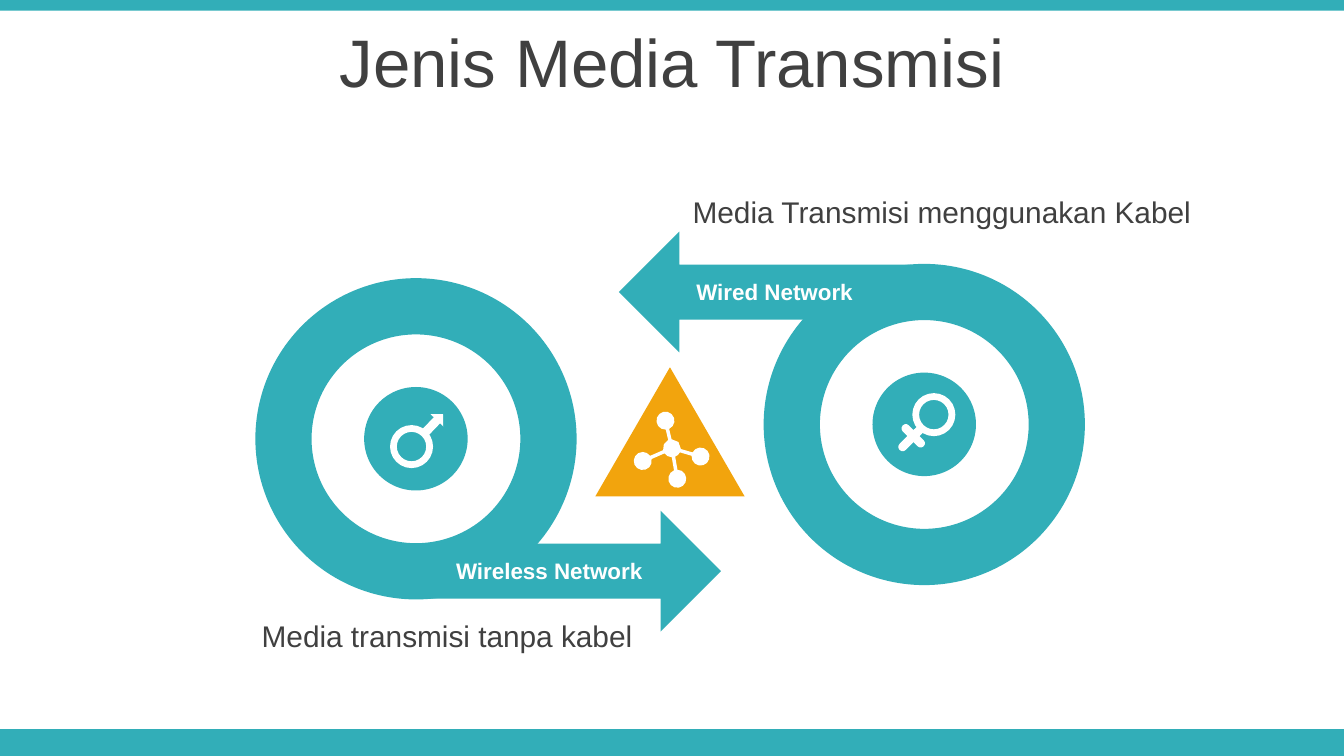
from dataclasses import dataclass
from math import asin, atan2, cos, pi, sin

from pptx import Presentation
from pptx.dml.color import RGBColor
from pptx.enum.shapes import MSO_SHAPE as Kind
from pptx.enum.text import MSO_ANCHOR as Anchor, MSO_AUTO_SIZE as Fit, PP_ALIGN as Align
from pptx.util import Inches, Pt

TEAL = RGBColor(0x32, 0xAE, 0xB8)
ORANGE = RGBColor(0xF2, 0xA4, 0x0D)
WHITE = RGBColor(0xFF, 0xFF, 0xFF)
GRAY = RGBColor(0x40, 0x40, 0x40)
FONT = "Arial"

# The slide is a grid of 100 columns and 56.25 rows of square cells
COLUMNS, ROWS = 100, 56.25
CELL = Inches(10) / COLUMNS


@dataclass(frozen=True)
class Area:
    column: float
    row: float
    columns: float
    rows: float

    def lengths(self) -> list[int]:
        return [cells(n) for n in (self.column, self.row, self.columns, self.rows)]


@dataclass(frozen=True)
class Figure:
    kind: Kind
    area: Area
    fill: RGBColor
    adjust: tuple[float, ...] = ()
    turn: float = 0


@dataclass(frozen=True)
class Label:
    text: str
    area: Area
    size: int
    color: RGBColor
    align: Align = Align.LEFT
    bold: bool = False


@dataclass(frozen=True)
class Node:
    column: float
    row: float


def cells(count: float) -> int:
    return round(count * CELL)


def paint(shape, color: RGBColor) -> None:
    shape.shadow.inherit = False
    shape.fill.solid()
    shape.fill.fore_color.rgb = color
    shape.line.fill.background()


def draw_figure(shapes, figure: Figure) -> None:
    shape = shapes.add_shape(figure.kind, *figure.area.lengths())
    for index, value in enumerate(figure.adjust):
        shape.adjustments[index] = value
    shape.rotation = figure.turn
    paint(shape, figure.fill)


def draw_group(shapes, figures: list[Figure]) -> None:
    group = shapes.add_group_shape()
    for figure in figures:
        draw_figure(group.shapes, figure)


def draw_label(shapes, label: Label):
    box = shapes.add_textbox(*label.area.lengths())
    frame = box.text_frame
    frame.word_wrap = True
    frame.auto_size = Fit.SHAPE_TO_FIT_TEXT
    para = frame.paragraphs[0]
    para.alignment = label.align
    span = para.add_run()
    span.text = label.text
    span.font.name = FONT
    span.font.size = Pt(label.size)
    span.font.bold = label.bold
    span.font.color.rgb = label.color
    return box


def loop(column: float, row: float, arrow: Area, turn: float) -> list[Figure]:
    """A ring, the arrow leaving it, and the disc at its centre."""
    ring, disc = 23.9, 7.7
    inset = (ring - disc) / 2
    return [
        Figure(Kind.DONUT, Area(column, row, ring, ring), TEAL, (0.175,), turn),
        Figure(Kind.RIGHT_ARROW, arrow, TEAL, (0.455, 0.5), turn),
        Figure(Kind.OVAL, Area(column + inset, row + inset, disc, disc), TEAL),
    ]


def arc(center: Node, start: float, end: float, steps: int) -> list[tuple[int, int]]:
    angles = [start + (end - start) * step / steps for step in range(steps + 1)]
    return [(cells(center.column + NODE_RADIUS * cos(angle)),
             cells(center.row + NODE_RADIUS * sin(angle))) for angle in angles]


def draw_network(shapes, hub: Node, nodes: list[Node], link: float) -> None:
    """One outline around a hub, its outer nodes and the links between them."""
    gap = asin(link / 2 / NODE_RADIUS)
    heading = {node: atan2(node.row - hub.row, node.column - hub.column) for node in nodes}
    ordered = sorted(nodes, key=heading.get)
    points = []
    for index, node in enumerate(ordered):
        angle = heading[node]
        following = heading[ordered[(index + 1) % len(ordered)]]
        if following <= angle:
            following += 2 * pi
        points += arc(node, angle - pi + gap, angle + pi - gap, steps=12)
        points += arc(hub, angle + gap, following - gap, steps=2)
    builder = shapes.build_freeform(*points[0], scale=1.0)
    builder.add_line_segments(points[1:], close=True)
    paint(builder.convert_to_shape(), WHITE)


BARS = [
    Figure(Kind.RECTANGLE, Area(0, 54.25, COLUMNS, 2), TEAL),
    Figure(Kind.RECTANGLE, Area(0, 0, COLUMNS, 0.8), TEAL),
]
TITLE = Label("Jenis Media Transmisi", Area(0, 1.4, COLUMNS, 6.3), 36, GRAY, Align.CENTER)
LOOPS = (loop(19, 20.7, Area(31.95, 38, 21.7, 9), 0)
         + loop(56.82, 19.63, Area(46.05, 17.23, 21.7, 9), 180))
TRIANGLE = Figure(Kind.ISOSCELES_TRIANGLE, Area(44.3, 27.33, 11.1, 9.6), ORANGE)
MALE_SIGN = [
    Figure(Kind.DONUT, Area(29.02, 31.63, 3.2, 3.2), WHITE, (0.158,)),
    Figure(Kind.UP_ARROW, Area(31.55, 30.5, 1.3, 2.2), WHITE, turn=43.9),
]
FEMALE_SIGN = [
    Figure(Kind.DONUT, Area(67.88, 29.25, 3.2, 3.2), WHITE, (0.158,)),
    Figure(Kind.ROUNDED_RECTANGLE, Area(67.5, 31.35, 0.64, 2.5), WHITE, (0.5,), 45),
    Figure(Kind.ROUNDED_RECTANGLE, Area(67.63, 31.33, 0.64, 2.2), WHITE, (0.5,), 135),
]
LABELS = [
    Label("Media Transmisi menggunakan Kabel", Area(50.55, 13.95, 44.1, 3.7), 16, GRAY),
    Label("Media transmisi tanpa kabel", Area(3.95, 45.45, 44.1, 3.7), 16, GRAY, Align.RIGHT),
    Label("Wireless Network", Area(23.2, 41, 25.6, 3), 12, WHITE, Align.RIGHT, True),
    Label("Wired Network", Area(50.83, 20.2, 25.6, 3), 12, WHITE, bold=True),
]
HUB = Node(50, 33.35)
NODES = [Node(49.52, 31.3), Node(52.13, 33.97), Node(50.4, 35.62), Node(47.83, 34.3)]
NODE_RADIUS = 0.67


def main() -> None:
    deck = Presentation()
    deck.slide_width, deck.slide_height = cells(COLUMNS), cells(ROWS)
    page = deck.slides.add_slide(deck.slide_layouts[6])
    shapes = page.shapes

    # Bars and title
    for bar in BARS:
        draw_figure(shapes, bar)
    title = draw_label(shapes, TITLE)
    title.text_frame.auto_size = Fit.NONE
    title.text_frame.vertical_anchor = Anchor.MIDDLE
    title.text_frame.paragraphs[0].space_before = Pt(4)

    # Loops, centre triangle and signs
    draw_group(shapes, LOOPS)
    draw_figure(shapes, TRIANGLE)
    draw_group(shapes, MALE_SIGN)
    draw_group(shapes, FEMALE_SIGN)

    # Captions and network symbol
    for label in LABELS:
        draw_label(shapes, label)
    draw_network(shapes, HUB, NODES, link=0.26)

    deck.save("out.pptx")


if __name__ == "__main__":
    main()
